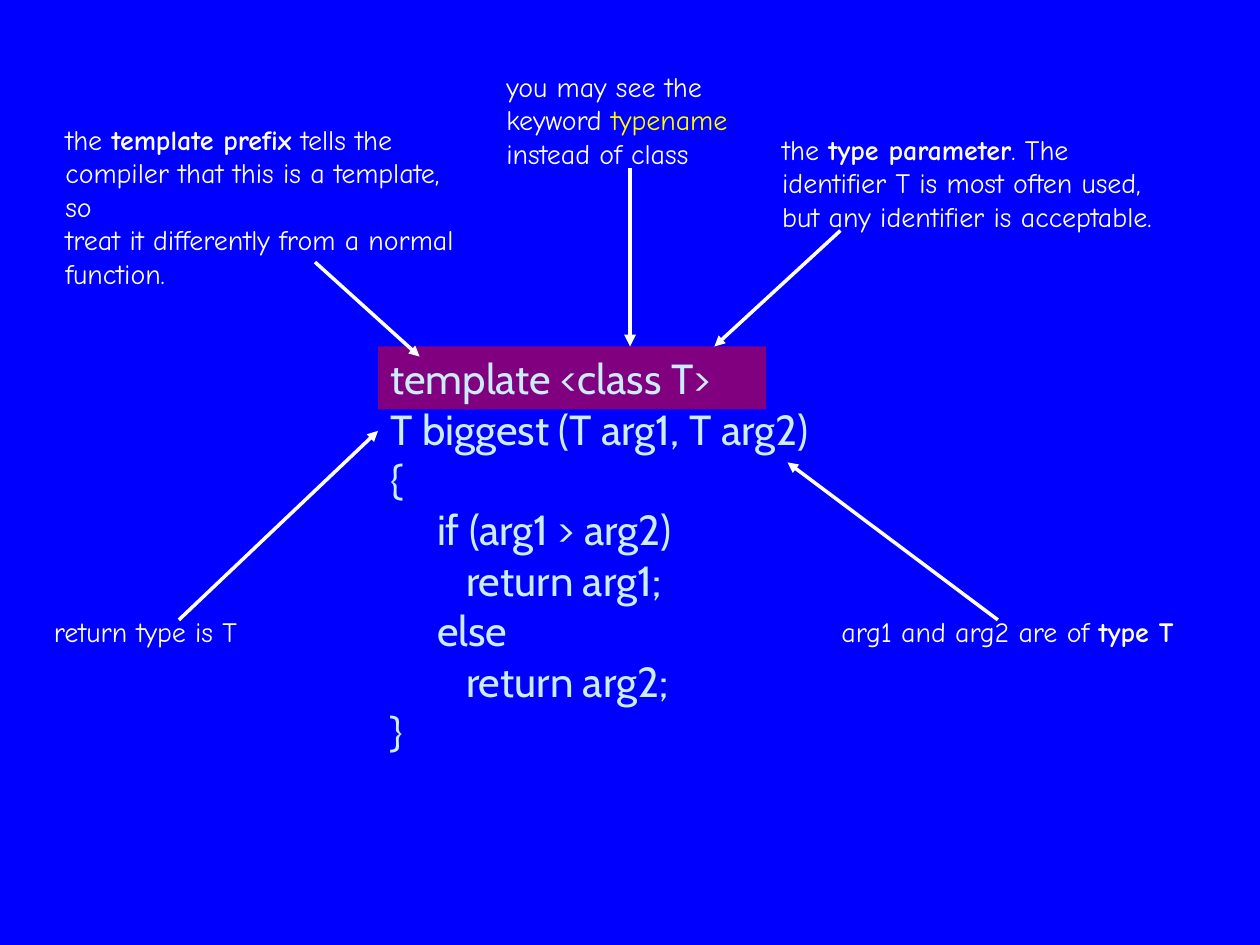
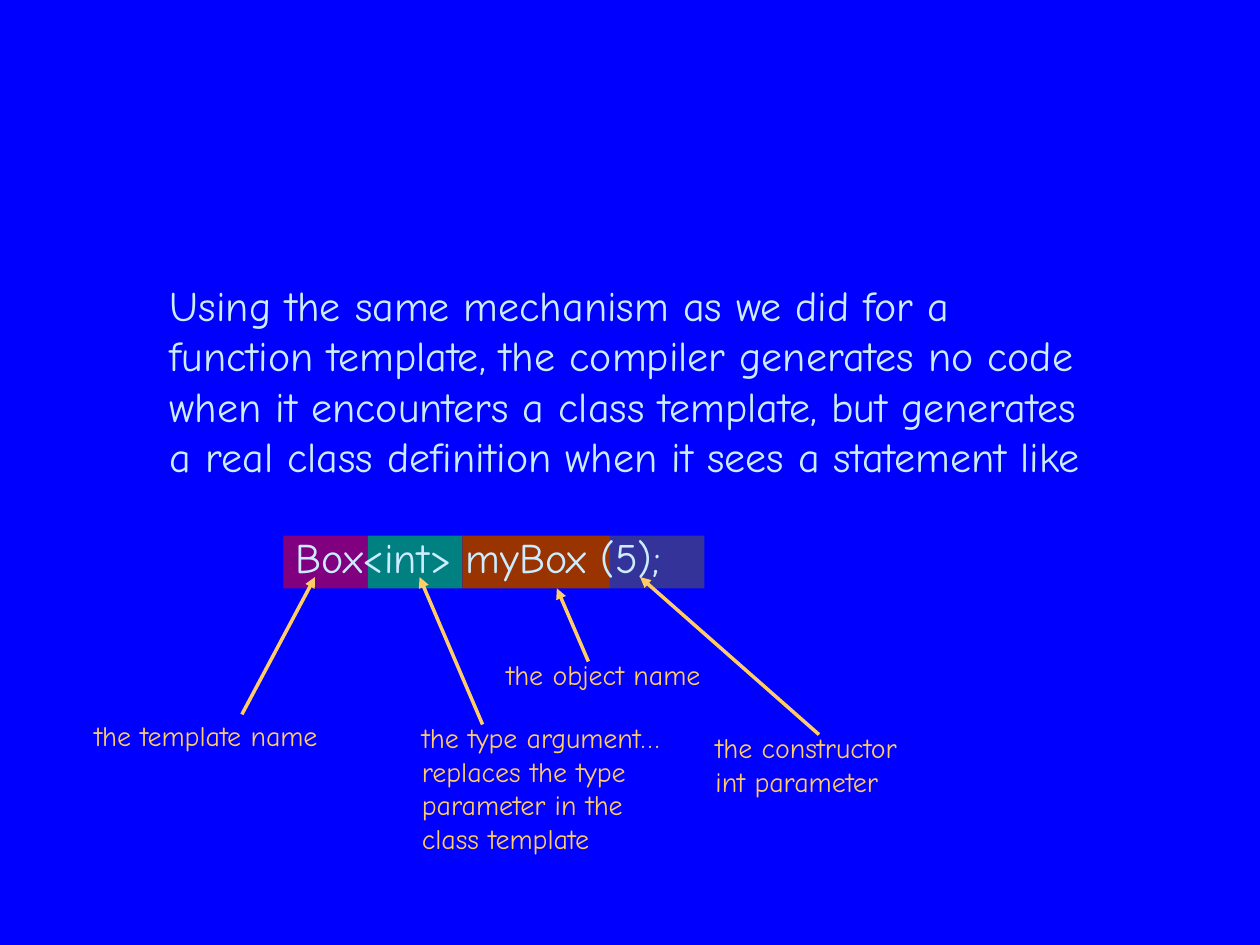
import lxml.etree
import pptx
import pptx.dml.color
import pptx.enum.shapes
import pptx.enum.text
import pptx.oxml.ns
import pptx.util
from pptx.util import Inches


class Theme:
    background = "0000FF"
    white = "FFFFFF"
    keyword = "FFFF00"
    code = "CCECFF"
    gold = "FFCC66"
    purple = "800080"
    teal = "008080"
    rust = "993300"
    indigo = "333399"
    code_font = "Cabin"
    note_font = "Comic Neue"
    large = 24
    small = 16
    arrow_width = 2


def add_text(slide, box, paragraphs, size, font, colour, wrap=False):
    """Add a text box; each paragraph is (indent in inches, runs), each run (text, colour or None, bold)."""
    shape = slide.shapes.add_textbox(*map(Inches, box))
    frame = shape.text_frame
    frame.word_wrap = wrap
    frame.auto_size = pptx.enum.text.MSO_AUTO_SIZE.SHAPE_TO_FIT_TEXT
    for index, (indent, runs) in enumerate(paragraphs):
        paragraph = frame.add_paragraph() if index else frame.paragraphs[0]
        if indent:
            properties = paragraph._p.get_or_add_pPr()
            properties.set("marL", str(Inches(indent)))
            properties.set("indent", "0")
        for text, run_colour, bold in runs:
            run = paragraph.add_run()
            run.text = text
            run.font.name = font
            run.font.size = pptx.util.Pt(size)
            run.font.bold = bold
            run.font.color.rgb = pptx.dml.color.RGBColor.from_string(run_colour or colour)
    return frame


def add_arrow(slide, start, end, colour, width=Theme.arrow_width):
    arrow = slide.shapes.add_connector(
        pptx.enum.shapes.MSO_CONNECTOR.STRAIGHT, *map(Inches, start + end))
    arrow.line.color.rgb = pptx.dml.color.RGBColor.from_string(colour)
    arrow.line.width = pptx.util.Pt(width)
    qn = pptx.oxml.ns.qn
    lxml.etree.SubElement(arrow.line._get_or_add_ln(), qn("a:tailEnd"), type="triangle")
    lxml.etree.SubElement(arrow._element.spPr, qn("a:effectLst"))


presentation = pptx.Presentation()
presentation.slide_width = Inches(10)
presentation.slide_height = Inches(7.5)
master_fill = presentation.slide_master.background.fill
master_fill.solid()
master_fill.fore_color.rgb = pptx.dml.color.RGBColor.from_string(Theme.background)
blank_layout = presentation.slide_layouts[6]
function_slide = presentation.slides.add_slide(blank_layout)
class_slide = presentation.slides.add_slide(blank_layout)

# Coloured bands behind the code: the parts of a row stand side by side
band_rows = [
    (function_slide, 3, 2.75, 0.5, [(3.08, Theme.purple)]),
    (class_slide, 2.25, 4.25, 0.42, [
        (0.67, Theme.purple), (0.75, Theme.teal), (1.17, Theme.rust), (0.75, Theme.indigo)]),
]
for slide, left, top, height, bands in band_rows:
    for width, colour in bands:
        band = slide.shapes.add_shape(
            pptx.enum.shapes.MSO_SHAPE.RECTANGLE, *map(Inches, (left, top, width, height)))
        band.shadow.inherit = False
        band.fill.solid()
        band.fill.fore_color.rgb = pptx.dml.color.RGBColor.from_string(colour)
        band.line.fill.background()
        left += width

# Slide 1: function template
code_lines = [
    (0, "template <class T>"),
    (0, "T biggest (T arg1, T arg2)"),
    (0, "{"),
    (0.37, "if (arg1 > arg2)"),
    (0.6, "return arg1;"),
    (0.37, "else"),
    (0.6, "return arg2;"),
    (0, "}"),
]
add_text(function_slide, (3, 2.75, 4.09, 3.33),
         [(indent, [(line, None, False)]) for indent, line in code_lines],
         Theme.large, Theme.code_font, Theme.code)

# Each note: box, wrap, lines of (text, colour, bold) runs, arrow start, arrow end, arrow width
function_notes = [
    ((0.42, 0.92, 3.42, 1.44), True, [
        [("the ", None, False), ("template prefix", None, True),
         (" tells the compiler that this is a template, so", None, False)],
        [("treat it differently from a normal function.", None, False)],
    ], (2.5, 2.08), (3.33, 2.83), 2),
    ((6.11, 1, 3.53, 0.9), False, [
        [("the ", None, False), ("type parameter", None, True), (". The", None, False)],
        [("identifier T is most often used,", None, False)],
        [("but any identifier is acceptable.", None, False)],
    ], (6.67, 1.83), (5.67, 2.75), 2),
    ((0.33, 4.83, 1.85, 0.37), False, [
        [("return type is T", None, False)],
    ], (1.42, 4.92), (3, 3.42), 2),
    ((6.58, 4.83, 3.07, 0.37), False, [
        [("arg1 and arg2 are of ", None, False), ("type T", None, True)],
    ], (7.92, 4.92), (6.25, 3.67), 2),
    ((3.92, 0.5, 2.12, 0.9), False, [
        [("you may see the", None, False)],
        [("keyword ", None, False), ("typename", Theme.keyword, False)],
        [("instead of class", None, False)],
    ], (5, 1.33), (5, 2.75), 2.25),
]
for box, wrap, lines, start, end, width in function_notes:
    add_text(function_slide, box, [(0, runs) for runs in lines],
             Theme.small, Theme.note_font, Theme.white, wrap)
    add_arrow(function_slide, start, end, Theme.white, width)

# Slide 2: class template
class_notes = [
    ((0.65, 5.65, 2.13, 0.37), ["the template name"], (1.92, 5.67), (2.5, 4.58)),
    ((3.25, 5.67, 2.29, 1.18),
     ["the type argument…", "replaces the type", "parameter in the", "class template"],
     (3.83, 5.75), (3.33, 4.58)),
    ((3.92, 5.17, 1.89, 0.37), ["the object name"], (4.67, 5.25), (4.42, 4.67)),
    ((5.58, 5.75, 1.91, 0.64), ["the constructor", "int parameter"], (6.5, 5.83), (5.08, 4.58)),
]
for box, lines, start, end in class_notes:
    add_text(class_slide, box, [(0, [(line, None, False)]) for line in lines],
             Theme.small, Theme.note_font, Theme.gold)
    add_arrow(class_slide, start, end, Theme.gold)

statement_lines = [
    (0, "Using the same mechanism as we did for a"),
    (0, "function template, the compiler generates no code"),
    (0, "when it encounters a class template, but generates"),
    (0, "a real class definition when it sees a statement like"),
    (1, "Box<int> myBox (5);"),
]
statement = add_text(class_slide, (1.25, 2.17, 8.17, 2.5),
                     [(indent, [(line, None, False)]) for indent, line in statement_lines],
                     Theme.large, Theme.note_font, Theme.code)
statement.paragraphs[-1].space_before = pptx.util.Pt(29)

presentation.save("out.pptx")
